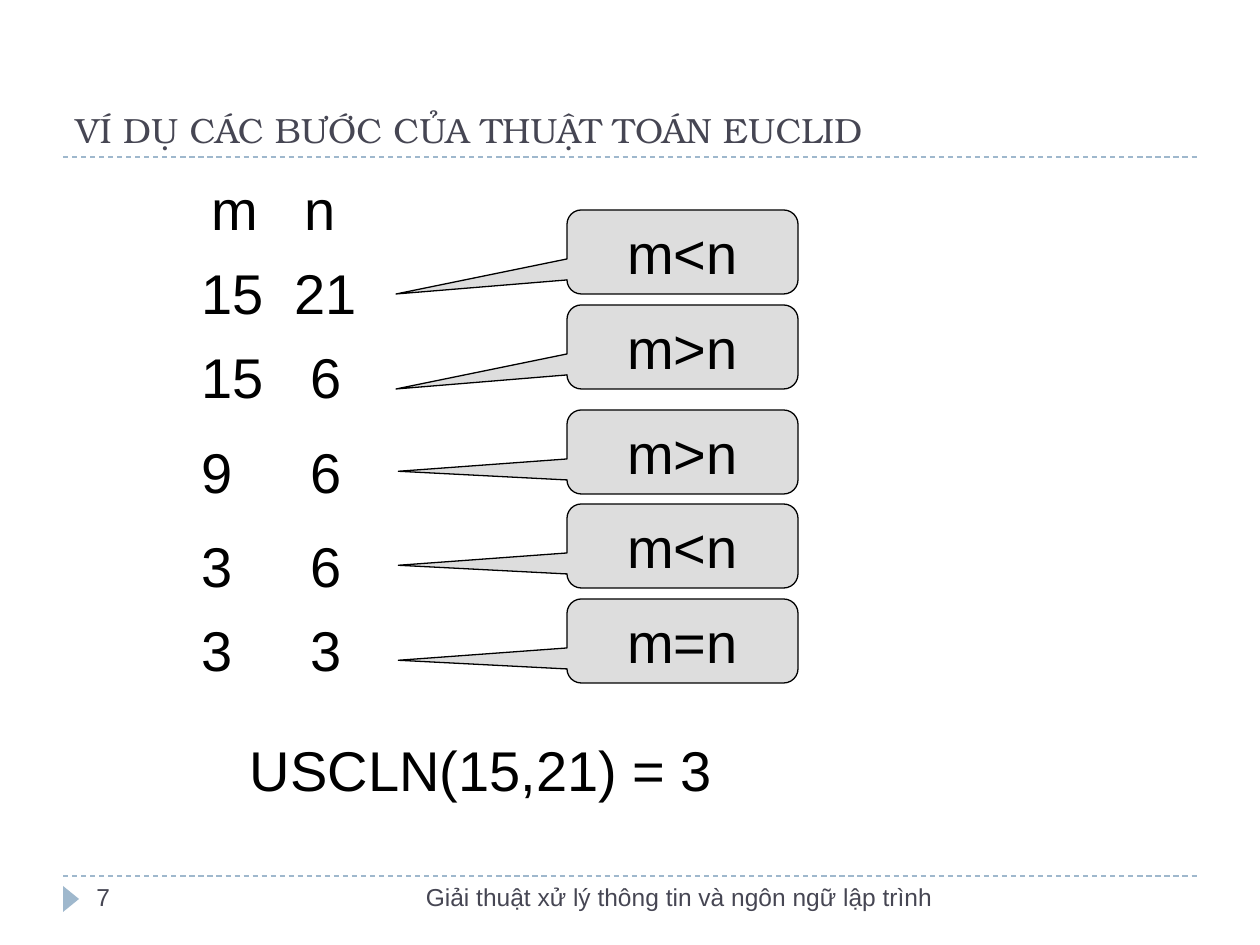
from pptx import Presentation
from pptx.dml.color import RGBColor
from pptx.enum.dml import MSO_LINE
from pptx.enum.shapes import MSO_CONNECTOR, MSO_SHAPE
from pptx.enum.text import MSO_ANCHOR, PP_ALIGN
from pptx.oxml.ns import qn
from pptx.util import Emu, Pt
from lxml import etree

BLACK = RGBColor(0x00, 0x00, 0x00)
SLATE = RGBColor(0x46, 0x46, 0x53)
BLUE = RGBColor(0x9F, 0xB8, 0xCD)
GRAY = RGBColor(0xDD, 0xDD, 0xDD)
LEFT, CENTER, RIGHT = PP_ALIGN.LEFT, PP_ALIGN.CENTER, PP_ALIGN.RIGHT
TOP, MIDDLE, BOTTOM = MSO_ANCHOR.TOP, MSO_ANCHOR.MIDDLE, MSO_ANCHOR.BOTTOM
STRAIGHT = MSO_CONNECTOR.STRAIGHT
CALLOUT = MSO_SHAPE.ROUNDED_RECTANGULAR_CALLOUT
TRIANGLE = MSO_SHAPE.ISOSCELES_TRIANGLE
DASH = MSO_LINE.DASH
BODY_FONT, TITLE_FONT = "Arial", "TeX Gyre Bonum"
BODY_SIZE, TITLE_SIZE, FOOTER_SIZE = 32, 20, 14
PX_PER_INCH = 126


def px(length):
    return Emu(round(length * 914400 / PX_PER_INCH))


class EuclidSlide:
    """Holds the slide and draws its elements in one style."""

    def __init__(self, slide):
        self.slide = slide

    def set_text(self, frame, text, size=BODY_SIZE, color=BLACK, font=BODY_FONT,
                 align=LEFT, anchor=TOP, tab=None):
        frame.word_wrap = True
        frame.vertical_anchor = anchor
        paragraph = frame.paragraphs[0]
        paragraph.text = text
        paragraph.alignment = align
        if tab:
            tabs = etree.SubElement(paragraph._p.get_or_add_pPr(), qn("a:tabLst"))
            etree.SubElement(tabs, qn("a:tab"), pos=str(px(tab)), algn="l")
        paragraph.font.name = font
        paragraph.font.size = Pt(size)
        paragraph.font.color.rgb = color

    def text(self, left, top, width, height, text, **style):
        box = self.slide.shapes.add_textbox(px(left), px(top), px(width), px(height))
        self.set_text(box.text_frame, text, **style)

    def rule(self, top):
        line = self.slide.shapes.add_connector(STRAIGHT, px(63), px(top), px(1197), px(top))
        line.line.color.rgb = BLUE
        line.line.width = Pt(0.75)
        line.line.dash_style = DASH
        etree.SubElement(line._element.spPr, qn("a:effectLst"))

    def marker(self, left, top, width, height):
        marker = self.slide.shapes.add_shape(TRIANGLE, px(left), px(top), px(width), px(height))
        marker.shadow.inherit = False
        marker.rotation = 90
        marker.fill.solid()
        marker.fill.fore_color.rgb = BLUE
        marker.line.fill.background()

    def callout(self, top, text, tip):
        callout = self.slide.shapes.add_shape(CALLOUT, px(567), px(top), px(231), px(84))
        callout.shadow.inherit = False
        for index, value in enumerate((*tip, 0.17)):
            callout.adjustments[index] = value
        callout.fill.solid()
        callout.fill.fore_color.rgb = GRAY
        callout.line.color.rgb = BLACK
        callout.line.width = Pt(0.75)
        self.set_text(callout.text_frame, text, align=CENTER, anchor=MIDDLE)


def main():
    presentation = Presentation()
    presentation.slide_width, presentation.slide_height = px(1260), px(945)
    page = EuclidSlide(presentation.slides.add_slide(presentation.slide_layouts[6]))

    for top in (876, 157):
        page.rule(top)
    page.marker(58, 891, 26, 16)
    page.text(63, 21, 1134, 136, "VÍ DỤ CÁC BƯỚC CỦA THUẬT TOÁN EUCLID",
              size=TITLE_SIZE, color=SLATE, font=TITLE_FONT, anchor=BOTTOM)

    wide, narrow = 93, 109
    rows = [(199, 168, "m\tn", wide), (189, 252, "15\t21", wide),
            (189, 336, "15\t6", narrow), (189, 431, "9\t6", narrow),
            (189, 525, "3\t6", narrow), (189, 609, "3\t3", narrow)]
    for left, top, values, tab in rows:
        page.text(left, top, 189, 81, values, tab=tab)

    low_tip, level_tip = (-1.24, 0.5), (-1.23, 0.23)
    comparisons = [(210, "m<n", low_tip), (305, "m>n", low_tip),
                   (410, "m>n", level_tip), (504, "m<n", level_tip),
                   (599, "m=n", level_tip)]
    for top, text, tip in comparisons:
        page.callout(top, text, tip)

    page.text(158, 729, 567, 81, "USCLN(15,21) = 3", align=RIGHT)
    page.text(84, 876, 273, 50, "7", size=FOOTER_SIZE, color=SLATE)
    page.text(399, 876, 546, 50, "Giải thuật xử lý thông tin và ngôn ngữ lập trình",
              size=FOOTER_SIZE, color=SLATE, align=RIGHT)
    presentation.save("out.pptx")


if __name__ == "__main__":
    main()
